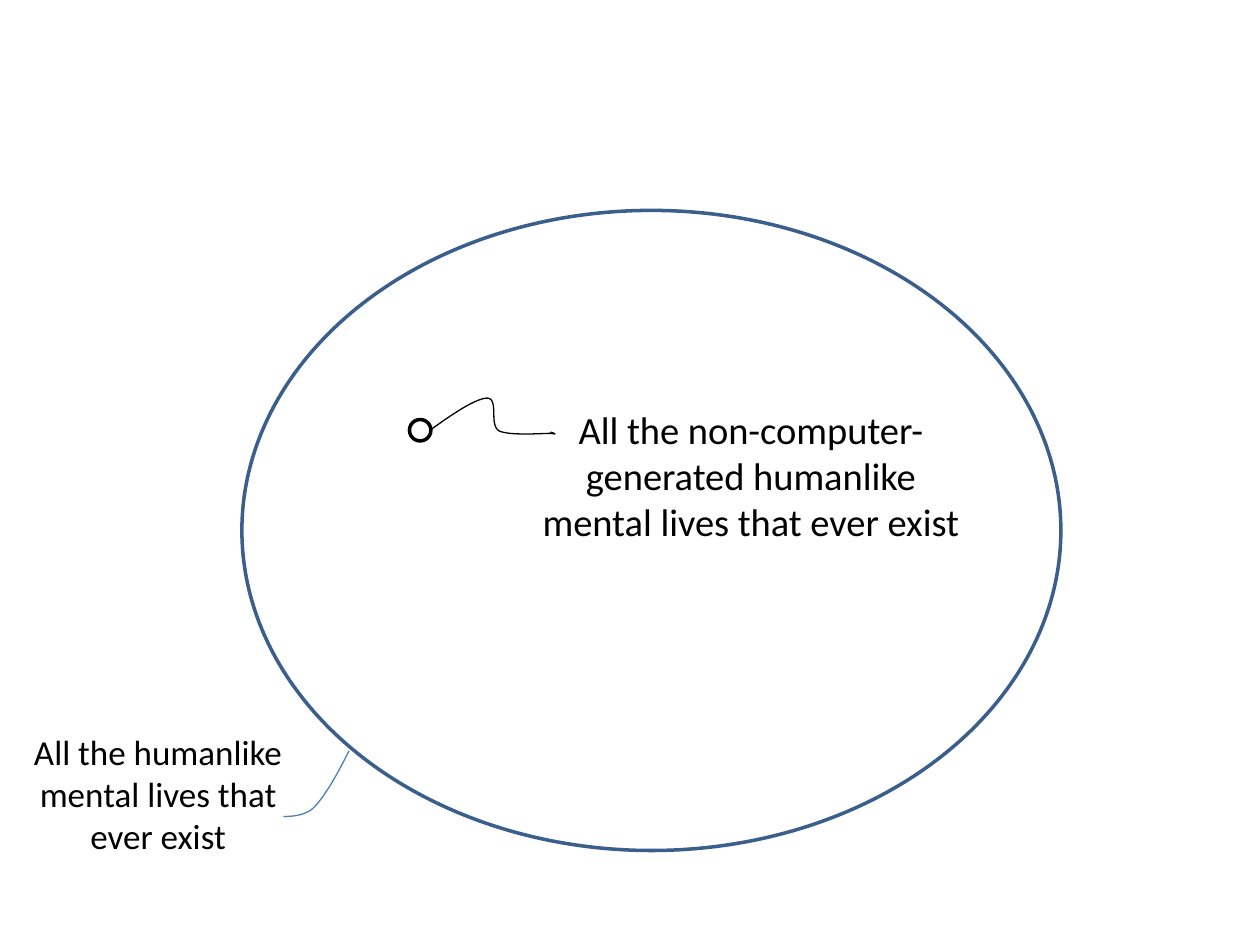
from pptx import Presentation
from pptx import util as u
from pptx.dml.color import RGBColor
from pptx.enum import shapes, text

COLORS = {"outer": "3A5F8C", "leader": "4B7EBC", "black": "000000"}
CURVE_STEPS = 16

presentation = Presentation()
presentation.slide_width = u.Inches(10)
presentation.slide_height = u.Inches(7.5)
slide = presentation.slides.add_slide(presentation.slide_layouts[6])


def outline(shape, color, width):
    shape.shadow.inherit = False
    shape.fill.background()
    shape.line.color.rgb = RGBColor.from_string(COLORS[color])
    shape.line.width = u.Pt(width)


def curve_points(start, controls):
    points = []
    for first, second, end in controls:
        for step in range(1, CURVE_STEPS + 1):
            t = step / CURVE_STEPS
            weights = ((1 - t) ** 3, 3 * t * (1 - t) ** 2, 3 * t ** 2 * (1 - t), t ** 3)
            corners = (start, first, second, end)
            points.append(tuple(
                u.Inches(sum(w * corner[axis] for w, corner in zip(weights, corners)))
                for axis in (0, 1)
            ))
        start = end
    return points


ellipses = [
    ((1.92, 1.67, 6.5, 5.08), "outer"),
    ((3.25, 3.33, 0.17, 0.17), "black"),
]
for box, color in ellipses:
    ellipse = slide.shapes.add_shape(shapes.MSO_SHAPE.OVAL, *map(u.Inches, box))
    outline(ellipse, color, 2)

leaders = [
    ("leader", (2.77, 5.96), [
        ((2.68, 6.14), (2.58, 6.32), (2.49, 6.41)),
        ((2.41, 6.49), (2.25, 6.48), (2.25, 6.48)),
    ]),
    ("black", (3.42, 3.41), [
        ((3.6, 3.28), (3.78, 3.16), (3.87, 3.16)),
        ((3.96, 3.17), (3.88, 3.37), (3.96, 3.42)),
        ((4.04, 3.46), (4.3, 3.44), (4.37, 3.44)),
        ((4.43, 3.45), (4.4, 3.44), (4.37, 3.43)),
    ]),
]
for color, start, controls in leaders:
    builder = slide.shapes.build_freeform(*map(u.Inches, start))
    builder.add_line_segments(curve_points(start, controls), close=False)
    outline(builder.convert_to_shape(), color, 0.75)

labels = [
    ("All the humanlike mental lives that ever exist", (0, 5.75, 2.51, 1.11), 20),
    ("All the non-computer-generated humanlike mental lives that ever exist",
     (4.17, 3.17, 3.58, 1.21), 22),
]
for wording, box, size in labels:
    label = slide.shapes.add_textbox(*map(u.Inches, box))
    frame = label.text_frame
    frame.word_wrap = True
    frame.auto_size = text.MSO_AUTO_SIZE.SHAPE_TO_FIT_TEXT
    paragraph = frame.paragraphs[0]
    paragraph.alignment = text.PP_ALIGN.CENTER
    run = paragraph.add_run()
    run.text = wording
    for name, value in {"name": "Calibri", "size": u.Pt(size)}.items():
        setattr(run.font, name, value)
    run.font.color.rgb = RGBColor.from_string(COLORS["black"])

presentation.save("out.pptx")
